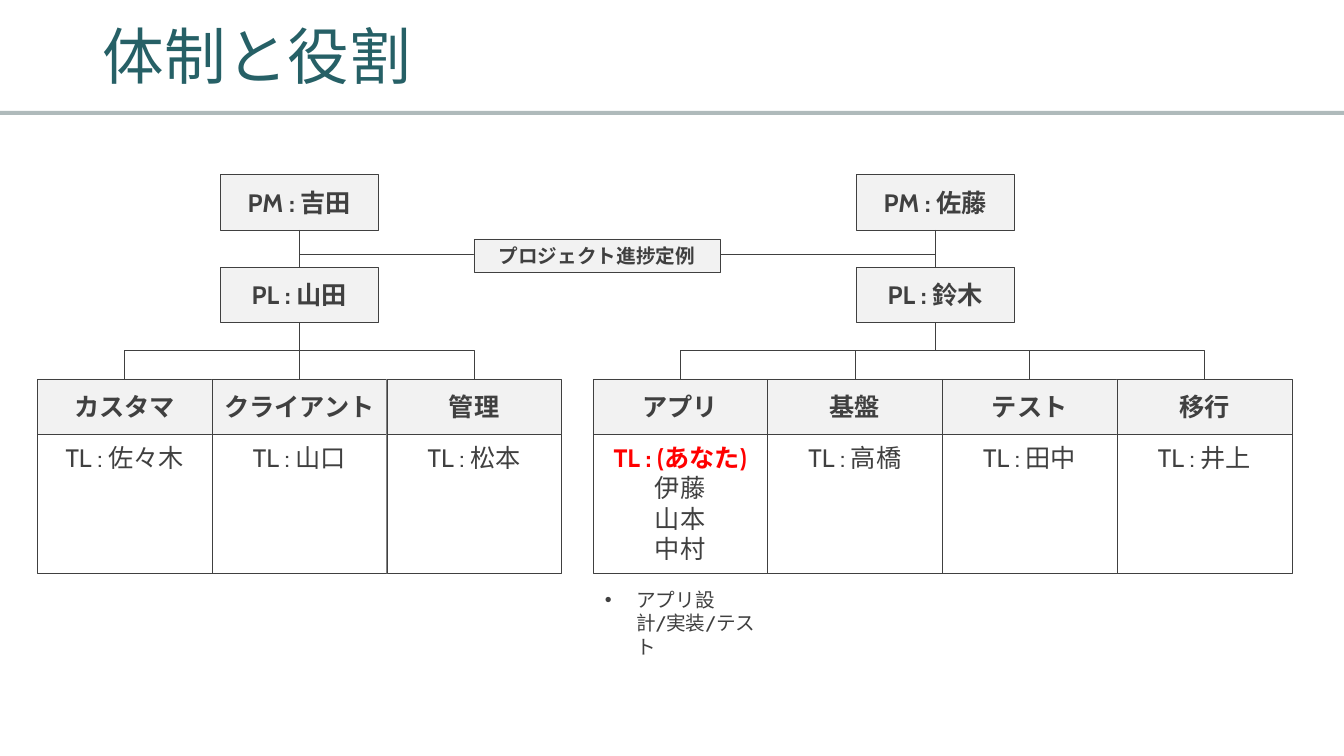
from dataclasses import dataclass

from lxml.etree import SubElement
from pptx import Presentation
from pptx.dml.color import RGBColor
from pptx.enum.shapes import MSO_CONNECTOR, MSO_SHAPE
from pptx.enum.text import MSO_ANCHOR, MSO_AUTO_SIZE, PP_ALIGN
from pptx.oxml.ns import qn
from pptx.util import Inches, Pt


@dataclass(frozen=True)
class Theme:
    font: str = "Cabin"
    title: str = "266066"
    ink: str = "404040"
    accent: str = "FF0000"
    head: str = "F2F2F2"
    paper: str = "FFFFFF"
    rule: str = "AFBABB"
    title_size: int = 44
    body_size: int = 18
    small_size: int = 14
    border: float = 0.25
    wire: float = 0.5


@dataclass(frozen=True)
class Group:
    name: str
    leader: str
    members: tuple[str, ...] = ()
    you: bool = False
    note: str = ""


@dataclass(frozen=True)
class Side:
    left: float
    lead_col: float  # centre of the PM and PL boxes, in columns from left
    manager: str
    leader: str
    groups: tuple[Group, ...]

    @property
    def lead_x(self) -> float:
        return self.left + self.lead_col * COL


THEME = Theme()
W, H = 13.33, 7.5

# Grid: column width as a share of the slide, rows in inches
COL = 0.13 * W
ROW = 0.55
LEAD_W = 1.57
PM_Y, PL_Y, HEAD_Y = 1.73, 2.65, 3.76
CELL_Y, CELL_H = HEAD_Y + ROW, 2.5 * ROW
NOTE_Y, NOTE_H = 5.75, 1.07
MEET_X, MEET_Y, MEET_W, MEET_H = 4.7, 2.37, 2.44, 0.33
MEET_LINE_Y = 2.52

# Insets: sides, top and bottom
WIDE, TIGHT, CELL = (0.24, 0.08), (0.08, 0.04), (0.12, 0.08)

SIDES = (
    Side(0.37, 1.5, "吉田", "山田", (
        Group("カスタマ", "佐々木"),
        Group("クライアント", "山口"),
        Group("管理", "松本"),
    )),
    Side(5.88, 1.96, "佐藤", "鈴木", (
        Group("アプリ", "(あなた)", ("伊藤", "山本", "中村"), True,
              "アプリ設計/実装/テスト"),
        Group("基盤", "高橋"),
        Group("テスト", "田中"),
        Group("移行", "井上"),
    )),
)


def add_text(tf, text: str, *, size: int = THEME.body_size, color: str = THEME.ink,
             bold: bool = False, align=PP_ALIGN.CENTER, bullet: bool = False,
             spacing: float | None = None) -> None:
    """Write text into the first empty paragraph, or into a new one."""
    p = tf.paragraphs[0] if not tf.text else tf.add_paragraph()
    p.alignment = align
    if spacing:
        p.line_spacing = spacing
    if bullet:
        pPr = p._p.get_or_add_pPr()
        pPr.set("marL", str(Inches(0.31)))
        pPr.set("indent", str(-Inches(0.31)))
        SubElement(pPr, qn("a:buFont"), typeface="Arial")
        SubElement(pPr, qn("a:buChar"), char="•")
    r = p.add_run()
    r.text = text
    r.font.name = THEME.font
    r.font.size = Pt(size)
    r.font.bold = bold
    r.font.color.rgb = RGBColor.from_string(color)


def add_box(s, x: float, y: float, w: float, h: float, *, fill: str = THEME.head,
            border: bool = True, inset: tuple[float, float] = WIDE,
            anchor=MSO_ANCHOR.MIDDLE):
    """Draw a rectangle and return its text frame."""
    sp = s.shapes.add_shape(MSO_SHAPE.RECTANGLE, Inches(x), Inches(y), Inches(w), Inches(h))
    sp.shadow.inherit = False
    sp.fill.solid()
    sp.fill.fore_color.rgb = RGBColor.from_string(fill)
    if border:
        sp.line.color.rgb = RGBColor.from_string(THEME.ink)
        sp.line.width = Pt(THEME.border)
    else:
        sp.line.fill.background()
    tf = sp.text_frame
    tf.word_wrap = True
    tf.vertical_anchor = anchor
    tf.margin_left = tf.margin_right = Inches(inset[0])
    tf.margin_top = tf.margin_bottom = Inches(inset[1])
    return tf


def add_wire(s, x1: float, y1: float, x2: float, y2: float, kind=MSO_CONNECTOR.STRAIGHT):
    cx = s.shapes.add_connector(kind, Inches(x1), Inches(y1), Inches(x2), Inches(y2))
    cx.line.color.rgb = RGBColor.from_string(THEME.ink)
    cx.line.width = Pt(THEME.wire)
    SubElement(cx._element.spPr, qn("a:effectLst"))
    return cx


def add_branch(s, x1: float, y1: float, x2: float, y2: float) -> None:
    """Lead down, across and down again: an elbow turned by a quarter."""
    dx, dy = abs(x2 - x1), y2 - y1
    if dx < 0.01:
        add_wire(s, x1, y1, x2, y2)
        return
    left, top = (x1 + x2 - dy) / 2, (y1 + y2 - dx) / 2
    cx = add_wire(s, left, top, left + dy, top + dx, MSO_CONNECTOR.ELBOW)
    xfrm = cx._element.spPr.find(qn("a:xfrm"))
    if x2 < x1:
        xfrm.set("rot", "5400000")
    else:
        xfrm.set("rot", "16200000")
        xfrm.set("flipH", "1")


def add_group(s, x: float, group: Group) -> None:
    tf = add_box(s, x, HEAD_Y, COL, ROW, inset=TIGHT)
    add_text(tf, group.name, bold=True)
    tf = add_box(s, x, CELL_Y, COL, CELL_H, fill=THEME.paper, inset=CELL,
                 anchor=MSO_ANCHOR.TOP)
    add_text(tf, f"TL : {group.leader}", bold=group.you,
             color=THEME.accent if group.you else THEME.ink)
    for member in group.members:
        add_text(tf, member)
    if group.note:
        tf = add_box(s, x, NOTE_Y, COL, NOTE_H, fill=THEME.paper, border=False,
                     inset=CELL, anchor=MSO_ANCHOR.TOP)
        add_text(tf, group.note, size=THEME.small_size, align=PP_ALIGN.LEFT, bullet=True)


def add_side(s, side: Side) -> None:
    for y, text in ((PM_Y, f"PM : {side.manager}"), (PL_Y, f"PL : {side.leader}")):
        tf = add_box(s, side.lead_x - LEAD_W / 2, y, LEAD_W, ROW)
        add_text(tf, text, bold=True)
    add_wire(s, side.lead_x, PM_Y + ROW, side.lead_x, PL_Y)
    for i, group in enumerate(side.groups):
        x = side.left + i * COL
        add_group(s, x, group)
        add_branch(s, side.lead_x, PL_Y + ROW, x + COL / 2, HEAD_Y)


def main() -> None:
    prs = Presentation()
    prs.slide_width, prs.slide_height = Inches(W), Inches(H)
    s = prs.slides.add_slide(prs.slide_layouts[5])

    # Title and rule
    add_box(s, 0, 1.1, W, 0.04, fill=THEME.rule, border=False)
    title = s.shapes.title
    title.left, title.top = Inches(0.92), Inches(0.12)
    title.width, title.height = Inches(11.5), Inches(0.94)
    tf = title.text_frame
    tf.auto_size = MSO_AUTO_SIZE.NONE
    tf.vertical_anchor = MSO_ANCHOR.MIDDLE
    add_text(tf, "体制と役割", size=THEME.title_size, color=THEME.title,
             align=PP_ALIGN.LEFT, spacing=0.9)

    # Both organisations
    for side in SIDES:
        add_side(s, side)

    # Progress meeting between them
    add_wire(s, SIDES[0].lead_x, MEET_LINE_Y, SIDES[1].lead_x, MEET_LINE_Y)
    tf = add_box(s, MEET_X, MEET_Y, MEET_W, MEET_H)
    add_text(tf, "プロジェクト進捗定例", size=THEME.small_size, bold=True)

    prs.save("out.pptx")


if __name__ == "__main__":
    main()
